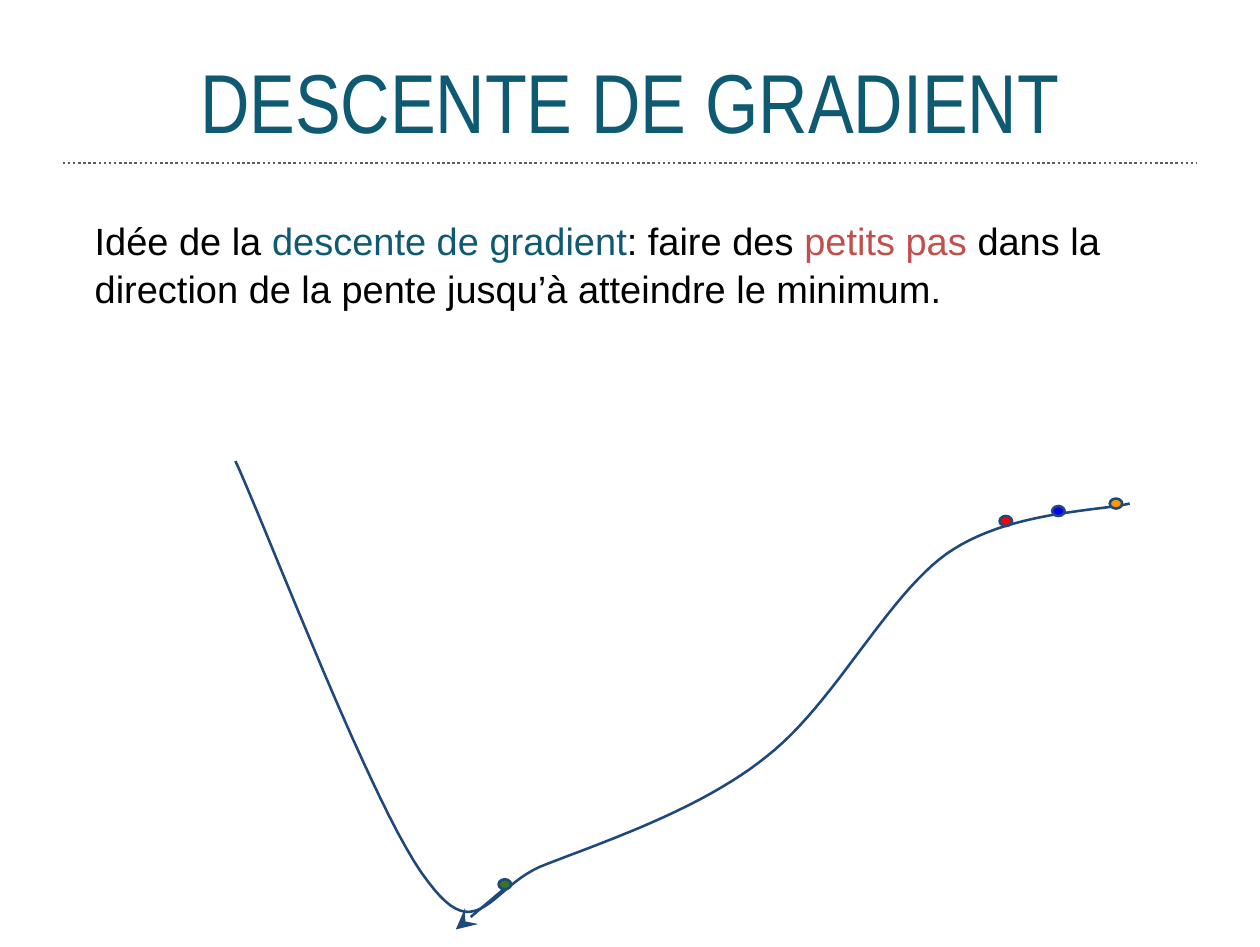
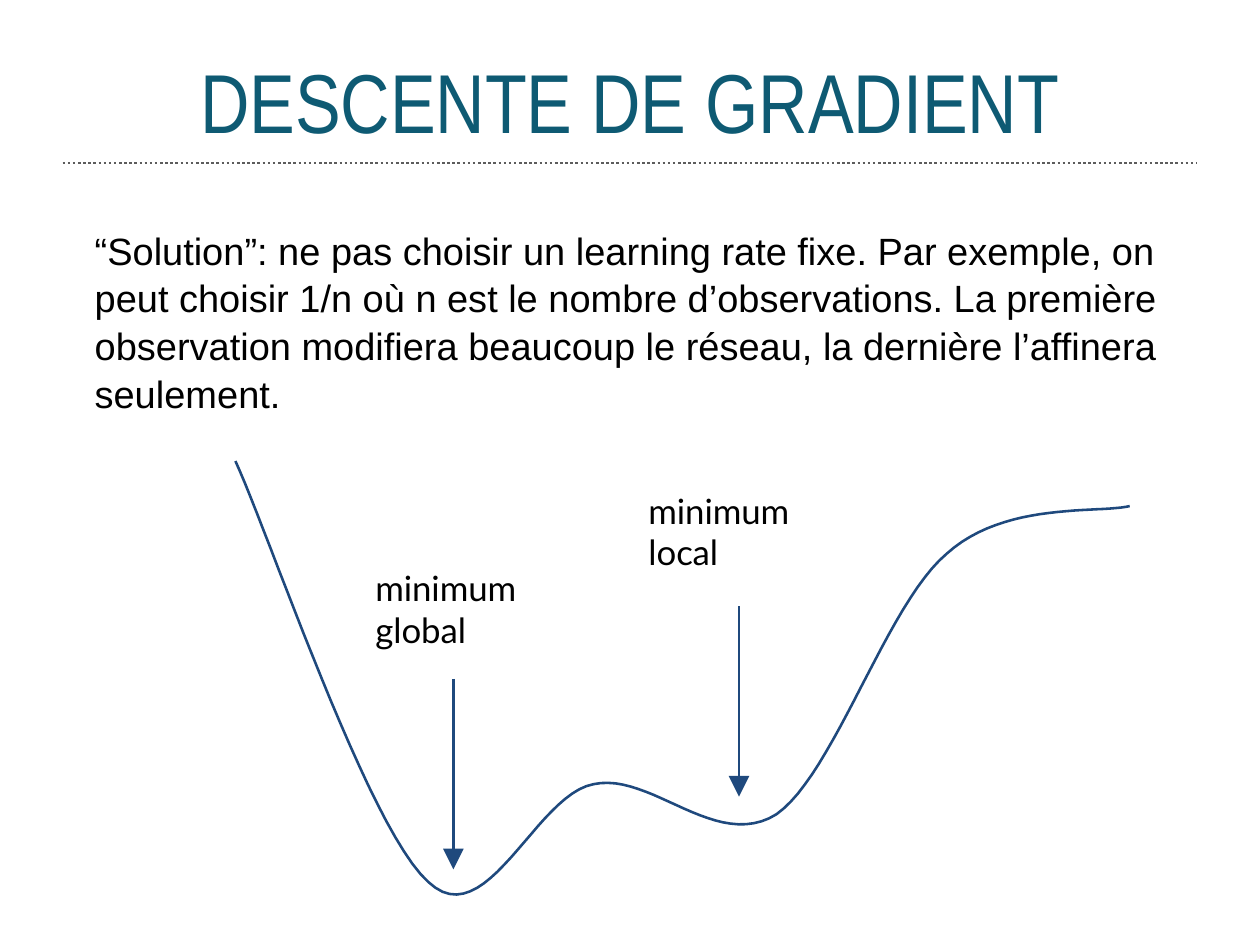
from dataclasses import dataclass

from lxml import etree
from pptx import Presentation
from pptx.dml.color import RGBColor
from pptx.enum.dml import MSO_LINE
from pptx.enum.shapes import MSO_CONNECTOR, MSO_SHAPE
from pptx.enum.text import MSO_ANCHOR, MSO_AUTO_SIZE, PP_ALIGN
from pptx.oxml.ns import qn
from pptx.util import Inches, Pt

STRAIGHT = MSO_CONNECTOR.STRAIGHT
OVAL = MSO_SHAPE.OVAL
DOTTED = MSO_LINE.ROUND_DOT
MIDDLE = MSO_ANCHOR.MIDDLE
NO_FIT = MSO_AUTO_SIZE.NONE
LEFT, CENTER = PP_ALIGN.LEFT, PP_ALIGN.CENTER


@dataclass(frozen=True)
class Theme:
    """Colours, fonts and sizes shared by the slides."""
    teal: str = "0E5A73"
    black: str = "000000"
    accent: str = "C0504D"
    navy: str = "1F497D"
    rule: str = "5C5C5C"
    title_font: str = "Arial Narrow"
    body_font: str = "Arial"
    label_font: str = "Lato"
    title_size: float = 24
    body_size: float = 10.9
    label_size: float = 10
    line_width: float = 0.75
    inset: float = 0.1


T = Theme()
TITLE = "DESCENTE DE GRADIENT"
TITLE_BOX = (0.27, 0, 4.49, 0.8)
DOT_SIZE = (0.05, 0.04)
CURVE_STEPS = 24

DESCENT_START = (0.94, 1.84)
DESCENT_CURVE = [
    ((1.07, 2.12), (1.5, 3.26), (1.71, 3.52)),
    ((1.91, 3.79), (1.96, 3.53), (2.18, 3.45)),
    ((2.41, 3.36), (2.8, 3.23), (3.06, 3.02)),
    ((3.33, 2.81), (3.54, 2.38), (3.78, 2.21)),
    ((4.02, 2.04), (4.39, 2.04), (4.51, 2.01)),
]
MINIMA_CURVE = [
    ((1.07, 2.12), (1.47, 3.31), (1.71, 3.52)),
    ((1.94, 3.74), (2.14, 3.17), (2.37, 3.13)),
    ((2.6, 3.08), (2.86, 3.4), (3.1, 3.25)),
    ((3.33, 3.09), (3.54, 2.41), (3.78, 2.21)),
    ((4.01, 2), (4.39, 2.05), (4.51, 2.02)),
]
STEPS = [
    (4.43, 1.99, "FF9900"),
    (4.2, 2.02, "0000FF"),
    (3.99, 2.06, "FF0000"),
    (1.99, 3.51, "38761D"),
]
MINIMA = [
    ("minimum global", 1.4, 2.23, 1.81, 2.71),
    ("minimum local", 2.49, 1.92, 2.95, 2.42),
]


def rgb(value):
    """Turn a hex string into a colour."""
    return RGBColor.from_string(value)


def inches(values):
    """Turn numbers into lengths."""
    return [Inches(v) for v in values]


def write(shape, runs, *, font, size, align=LEFT, spacing=1.0):
    """Write one paragraph of (text, colour) runs into a shape."""
    tf = shape.text_frame
    tf.word_wrap = True
    tf.auto_size = NO_FIT
    tf.vertical_anchor = MIDDLE
    tf.margin_left = tf.margin_right = Inches(T.inset)
    tf.margin_top = tf.margin_bottom = Inches(T.inset)
    p = tf.paragraphs[0]
    p.alignment = align
    p.line_spacing = spacing
    for text, color in runs:
        r = p.add_run()
        r.text = text
        r.font.name = font
        r.font.size = Pt(size)
        r.font.color.rgb = rgb(color)


def add_text(s, box, runs, **fmt):
    """Add a text box."""
    write(s.shapes.add_textbox(*inches(box)), runs, **fmt)


def add_body(s, top, height, runs):
    """Add the main paragraph of a slide."""
    add_text(s, (0.28, top, 4.47, height), runs,
             font=T.body_font, size=T.body_size, spacing=1.05)


def set_line(shape, color=T.navy):
    """Give a shape or connector its outline."""
    shape.line.color.rgb = rgb(color)
    shape.line.width = Pt(T.line_width)


def add_line(s, start, end, color=T.navy, head=None):
    """Add a straight line, with an arrowhead if one is named."""
    line = s.shapes.add_connector(STRAIGHT, *inches(start + end))
    set_line(line, color)
    if head:
        etree.SubElement(line.line._get_or_add_ln(), qn("a:tailEnd"), type=head)
    etree.SubElement(line.element.spPr, qn("a:effectLst"))
    return line


def bezier(a, b, c, d, t):
    """Return the point at t on a cubic curve."""
    u = 1 - t
    return tuple(u**3 * i + 3 * u * u * t * j + 3 * u * t * t * k + t**3 * m
                 for i, j, k, m in zip(a, b, c, d))


def add_curve(s, start, segments):
    """Add an open smooth curve made of cubic segments."""
    points = []
    last = start
    for b, c, d in segments:
        points += [inches(bezier(last, b, c, d, n / CURVE_STEPS))
                   for n in range(1, CURVE_STEPS + 1)]
        last = d
    builder = s.shapes.build_freeform(*inches(start))
    builder.add_line_segments(points, close=False)
    curve = builder.convert_to_shape()
    curve.shadow.inherit = False
    curve.fill.background()
    set_line(curve)


def add_dot(s, left, top, color):
    """Add a small marker on the curve."""
    dot = s.shapes.add_shape(OVAL, *inches((left, top) + DOT_SIZE))
    dot.shadow.inherit = False
    dot.fill.solid()
    dot.fill.fore_color.rgb = rgb(color)
    set_line(dot)


def prepare_layout(prs):
    """Set the title place and the dotted rule on the shared layout."""
    layout = prs.slide_layouts.get_by_name("Title Only")
    title, *others = layout.placeholders
    title.left, title.top, title.width, title.height = inches(TITLE_BOX)
    for ph in others:
        ph.element.getparent().remove(ph.element)
    return layout


def add_slide(prs, layout):
    """Add a slide with the shared title."""
    s = prs.slides.add_slide(layout)
    write(s.shapes.title, [(TITLE, T.teal)], font=T.title_font,
          size=T.title_size, align=CENTER)
    return s


def share_rule(s):
    """Put the dotted rule on the layout of a slide."""
    line = add_line(s, (0.25, 0.65), (4.78, 0.65), T.rule)
    line.line.dash_style = DOTTED
    s.slide_layout.shapes.element.append(line.element)


def descent_slide(prs, layout):
    """Build the slide on the idea of gradient descent."""
    s = add_slide(prs, layout)
    share_rule(s)
    add_body(s, 0.78, 0.54, [
        ("Idée de la ", T.black),
        ("descente de gradient", T.teal),
        (": faire des ", T.black),
        ("petits pas", T.accent),
        (" dans la direction de la pente jusqu’à atteindre le minimum.", T.black),
    ])
    add_curve(s, DESCENT_START, DESCENT_CURVE)
    for step in STEPS:
        add_dot(s, *step)
    add_line(s, (2.01, 3.55), (1.82, 3.71), head="stealth")


def minima_slide(prs, layout):
    """Build the slide on global and local minima."""
    s = add_slide(prs, layout)
    add_body(s, 0.81, 0.94, [(
        "“Solution”: ne pas choisir un learning rate fixe. Par exemple, on "
        "peut choisir 1/n où n est le nombre d’observations. La première "
        "observation modifiera beaucoup le réseau, la dernière l’affinera "
        "seulement.", T.black)])
    add_curve(s, DESCENT_START, MINIMA_CURVE)
    for text, left, top, x, y in MINIMA:
        add_line(s, (x, y), (x, y + 0.76), head="triangle")
        add_text(s, (left, top, 0.91, 0.4), [(text, T.black)],
                 font=T.label_font, size=T.label_size)


def main():
    """Build and save the presentation."""
    prs = Presentation()
    prs.slide_width, prs.slide_height = inches((5.03, 3.78))
    layout = prepare_layout(prs)
    descent_slide(prs, layout)
    minima_slide(prs, layout)
    prs.save("out.pptx")


if __name__ == "__main__":
    main()
